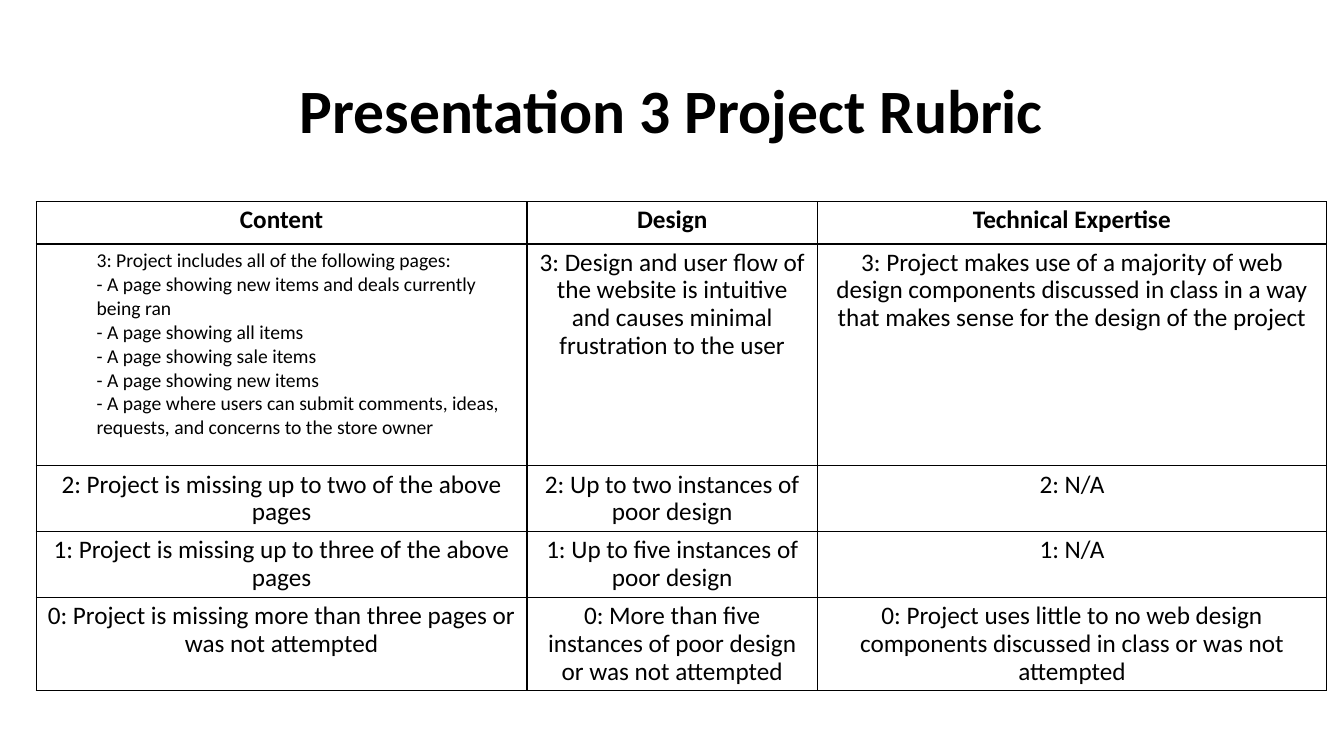
from pptx import Presentation
from pptx.dml.color import RGBColor
from pptx.enum.text import MSO_ANCHOR, PP_ALIGN
from pptx.oxml.ns import qn
from pptx.util import Cm, Pt
from lxml import etree

MID = MSO_ANCHOR.MIDDLE
LEFT, CENTER = PP_ALIGN.LEFT, PP_ALIGN.CENTER
FONT = "Calibri"
COLORS = {"text": "000000", "line": "000000"}

COLS = [12.37, 7.32, 12.83]
ROWS = [1.07, 5.59, 1.66, 1.66, 2.34]
PAGES = [
    "3: Project includes all of the following pages:",
    "- A page showing new items and deals currently being ran",
    "- A page showing all items",
    "- A page showing sale items",
    "- A page showing new items",
    "- A page where users can submit comments, ideas, requests, "
    "and concerns to the store owner",
]
RUBRIC = [
    ["Content", "Design", "Technical Expertise"],
    [PAGES,
     "3: Design and user flow of the website is intuitive and causes "
     "minimal frustration to the user",
     "3: Project makes use of a majority of web design components discussed "
     "in class in a way that makes sense for the design of the project"],
    ["2: Project is missing up to two of the above pages",
     "2: Up to two instances of poor design",
     "2: N/A"],
    ["1: Project is missing up to three of the above pages",
     "1: Up to five instances of poor design",
     "1: N/A"],
    ["0: Project is missing more than three pages or was not attempted",
     "0: More than five instances of poor design or was not attempted",
     "0: Project uses little to no web design components discussed in class "
     "or was not attempted"],
]


def write(frame, lines, size=18, bold=False, align=CENTER, space=0.9, indent=0):
    """Fill a text frame with one paragraph per line."""
    frame.word_wrap = True
    for i, line in enumerate(lines):
        para = frame.paragraphs[0] if i == 0 else frame.add_paragraph()
        para.alignment, para.line_spacing = align, space
        if indent:
            para.level = 1
            props = para._p.get_or_add_pPr()
            props.set("marL", str(Cm(indent)))
            props.set("indent", "0")
        run = para.add_run()
        run.text = line
        run.font.name, run.font.size, run.font.bold = FONT, Pt(size), bold
        run.font.color.rgb = RGBColor.from_string(COLORS["text"])


def frame_cell(cell):
    """Draw thin borders around a cell and leave it unfilled."""
    props = cell._tc.get_or_add_tcPr()
    for side in ("lnL", "lnR", "lnT", "lnB"):
        line = etree.SubElement(props, qn("a:" + side), w=str(Pt(1)))
        fill = etree.SubElement(line, qn("a:solidFill"))
        etree.SubElement(fill, qn("a:srgbClr"), val=COLORS["line"])
    cell.fill.background()


def add_title(slide, text, x, y, w, h):
    box = slide.shapes.add_textbox(Cm(x), Cm(y), Cm(w), Cm(h))
    box.text_frame.vertical_anchor = MID
    write(box.text_frame, [text], size=44, bold=True)


def add_rubric(slide, x, y, w, h):
    shape = slide.shapes.add_table(len(ROWS), len(COLS), Cm(x), Cm(y), Cm(w), Cm(h))
    table = shape.table
    table.first_row = table.horz_banding = False
    for col, size in zip(table.columns, COLS):
        col.width = Cm(size)
    for row, size in zip(table.rows, ROWS):
        row.height = Cm(size)
    for r, texts in enumerate(RUBRIC):
        for c, text in enumerate(texts):
            cell = table.cell(r, c)
            frame_cell(cell)
            if text is PAGES:
                write(cell.text_frame, text, size=14, align=LEFT, space=1.0, indent=1.27)
            else:
                write(cell.text_frame, [text], bold=r == 0)


def main():
    deck = Presentation()
    deck.slide_width, deck.slide_height = Cm(33.87), Cm(19.05)
    slide = deck.slides.add_slide(deck.slide_layouts[6])
    add_title(slide, "Presentation 3 Project Rubric", 2.33, 1.01, 29.21, 3.68)
    add_rubric(slide, 0.91, 5.08, sum(COLS), sum(ROWS))
    deck.save("out.pptx")


if __name__ == "__main__":
    main()
